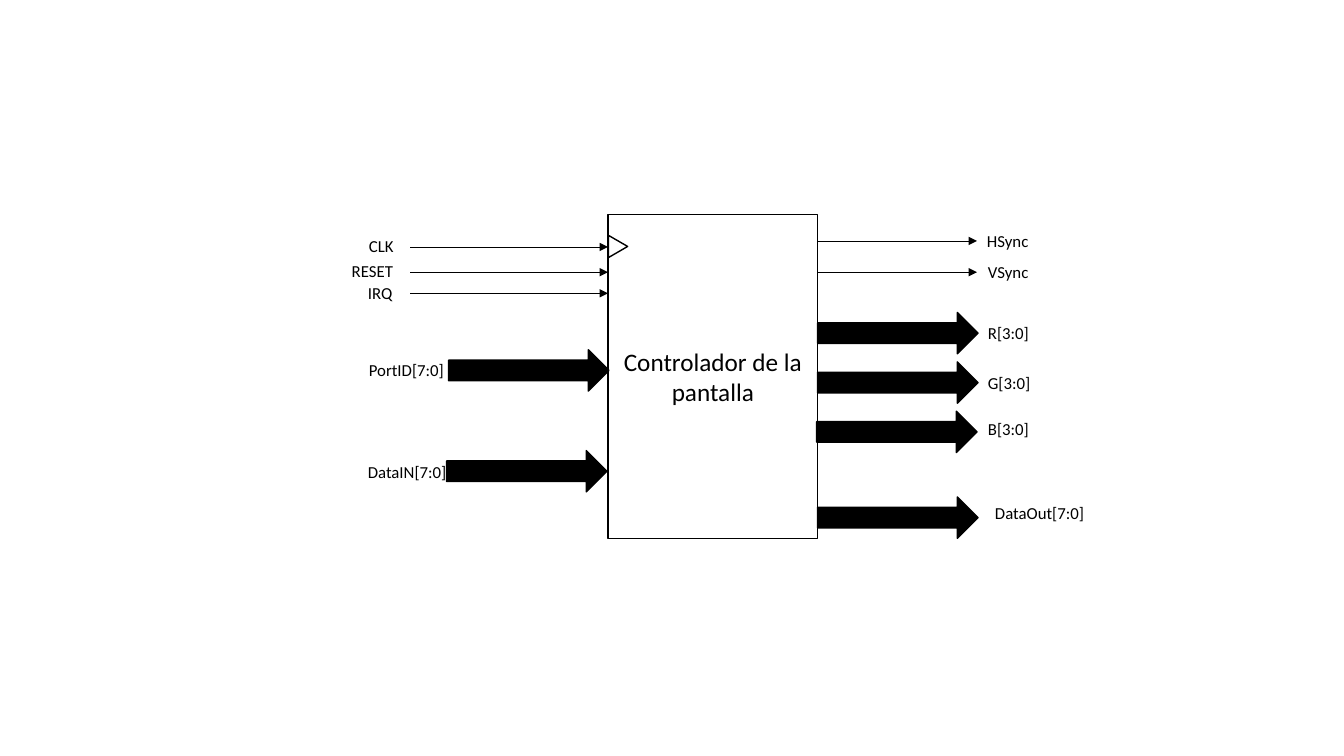
from lxml.etree import SubElement
from pptx import Presentation
from pptx.dml.color import RGBColor
from pptx.enum.shapes import MSO_CONNECTOR, MSO_SHAPE
from pptx.enum.text import MSO_ANCHOR, MSO_AUTO_SIZE, PP_ALIGN
from pptx.oxml.ns import qn
from pptx.util import Inches, Pt

BLACK = RGBColor(0, 0, 0)
WHITE = RGBColor(255, 255, 255)
FONT = "Calibri"
LEFT, RIGHT = 6.03, 8.11  # side edges of the block
BUS_W, BUS_H = 1.59, 0.41

# label, label left, label top, label width, start, end, line height
WIRES = [
    ("CLK", 3.56, 2.29, 0.45, 4.07, LEFT, 2.45),
    ("RESET", 3.39, 2.54, 0.62, 4.07, LEFT, 2.7),
    ("IRQ", 3.55, 2.76, 0.45, 4.07, LEFT, 2.91),
    ("HSync", 9.69, 2.24, 0.62, RIGHT, 9.69, 2.39),
    ("VSync", 9.7, 2.55, 0.61, RIGHT, 9.69, 2.7),
]
# label, label left, label top, label width, arrow left, arrow top
BUSES = [
    ("PortID[7:0]", 3.56, 3.52, 0.95, 4.45, 3.47),
    ("DataIN[7:0]", 3.55, 4.53, 0.99, 4.43, 4.47),
    ("R[3:0]", 9.7, 3.15, 0.61, RIGHT, 3.1),
    ("G[3:0]", 9.7, 3.65, 0.63, RIGHT, 3.59),
    ("B[3:0]", 9.7, 4.11, 0.61, 8.1, 4.08),
    ("DataOut[7:0]", 9.77, 4.94, 1.09, RIGHT, 4.93),
]


def set_text(frame, text, size):
    """Write one black paragraph and return it."""
    para = frame.paragraphs[0]
    para.text = text
    para.font.name = FONT
    para.font.size = Pt(size)
    para.font.color.rgb = BLACK
    return para


def add_form(slide, kind, x, y, w, h, fill):
    """Add a preset shape with a thin black outline."""
    form = slide.shapes.add_shape(kind, Inches(x), Inches(y), Inches(w), Inches(h))
    form.shadow.inherit = False
    form.fill.solid()
    form.fill.fore_color.rgb = fill
    form.line.color.rgb = BLACK
    form.line.width = Pt(1)
    return form


def add_label(slide, text, x, y, w):
    """Add a signal name on one line."""
    box = slide.shapes.add_textbox(Inches(x), Inches(y), Inches(w), Inches(0.3))
    frame = box.text_frame
    frame.word_wrap = False
    frame.auto_size = MSO_AUTO_SIZE.SHAPE_TO_FIT_TEXT
    set_text(frame, text, 12)


def add_wire(slide, start, end, y):
    """Add a thin level line with an arrowhead at its end."""
    wire = slide.shapes.add_connector(
        MSO_CONNECTOR.STRAIGHT, Inches(start), Inches(y), Inches(end), Inches(y))
    wire.line.color.rgb = BLACK
    wire.line.width = Pt(0.5)
    SubElement(wire.line._get_or_add_ln(), qn("a:tailEnd"), type="triangle")
    SubElement(wire._element.spPr, qn("a:effectLst"))


def add_block(slide):
    """Add the controller block and its clock mark."""
    block = add_form(slide, MSO_SHAPE.RECTANGLE, LEFT, 2.13, RIGHT - LEFT, 3.21, WHITE)
    frame = block.text_frame
    frame.word_wrap = True
    frame.vertical_anchor = MSO_ANCHOR.MIDDLE
    set_text(frame, "Controlador de la pantalla", 18).alignment = PP_ALIGN.CENTER
    clock = add_form(slide, MSO_SHAPE.ISOSCELES_TRIANGLE, 6.02, 2.35, 0.22, 0.19, WHITE)
    clock.rotation = 90


def main():
    """Build the block diagram and save it."""
    deck = Presentation()
    deck.slide_width, deck.slide_height = Inches(13.33), Inches(7.5)
    slide = deck.slides.add_slide(deck.slide_layouts[6])
    add_block(slide)
    for text, x, y, w, start, end, level in WIRES:
        add_wire(slide, start, end, level)
        add_label(slide, text, x, y, w)
    for text, x, y, w, left, top in BUSES:
        add_form(slide, MSO_SHAPE.RIGHT_ARROW, left, top, BUS_W, BUS_H, BLACK)
        add_label(slide, text, x, y, w)
    deck.save("out.pptx")


main()
